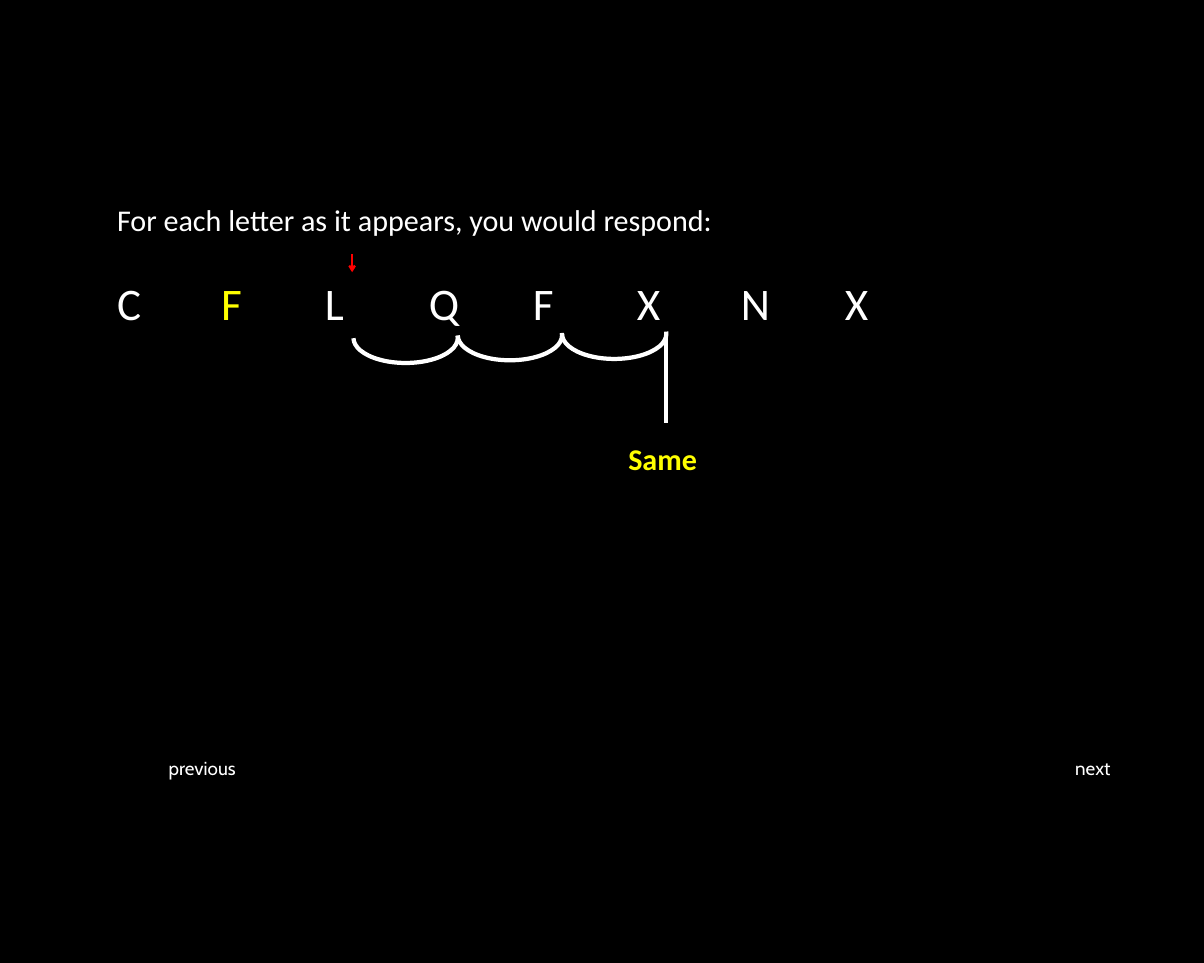
"""Build the slide that shows how to respond to each letter in a sequence."""
import lxml.etree
import pptx
import pptx.dml.color
import pptx.enum.shapes
import pptx.oxml.ns
import pptx.util

Inches = pptx.util.Inches
BLACK = pptx.dml.color.RGBColor(0x00, 0x00, 0x00)
WHITE = pptx.dml.color.RGBColor(0xFF, 0xFF, 0xFF)
YELLOW = pptx.dml.color.RGBColor(0xFF, 0xFF, 0x00)
RED = pptx.dml.color.RGBColor(0xFF, 0x00, 0x00)

LETTERS = "CFLQFXNX"
CURRENT = 1
LETTER_GAP = 10.75 / 7
ARC_WIDTH = 1.54

deck = pptx.Presentation()
deck.slide_width = Inches(17.78)
deck.slide_height = Inches(14.22)
slide = deck.slides.add_slide(deck.slide_layouts[6])
slide.background.fill.solid()
slide.background.fill.fore_color.rgb = BLACK


def add_text(left, top, width, height, pieces, font_values, tabs=()):
    """Add a text box whose pieces are (text, colour) pairs."""
    frame = slide.shapes.add_textbox(*map(Inches, (left, top, width, height))).text_frame
    frame.word_wrap = True
    paragraph = frame.paragraphs[0]
    if tabs:
        tab_list = lxml.etree.SubElement(
            paragraph._p.get_or_add_pPr(), pptx.oxml.ns.qn("a:tabLst"))
        for position in tabs:
            lxml.etree.SubElement(tab_list, pptx.oxml.ns.qn("a:tab"),
                                  pos=str(Inches(position)), algn="l")
    for text, colour in pieces:
        run = paragraph.add_run()
        run.text = text
        run.font.color.rgb = colour
        for name, value in font_values.items():
            setattr(run.font, name, value)


def add_line(x, top, bottom, colour, weight):
    """Add a vertical line and return its line properties element."""
    line = slide.shapes.add_connector(
        pptx.enum.shapes.MSO_CONNECTOR.STRAIGHT,
        Inches(x), Inches(top), Inches(x), Inches(bottom))
    line.line.color.rgb = colour
    line.line.width = pptx.util.Pt(weight)
    properties = line._element.spPr
    lxml.etree.SubElement(properties, pptx.oxml.ns.qn("a:effectLst"))
    return properties.find(pptx.oxml.ns.qn("a:ln"))


body = {"name": "Calibri", "size": pptx.util.Pt(32)}
letter = {"name": "Calibri", "size": pptx.util.Pt(48)}
answer = {"name": "Calibri", "size": pptx.util.Pt(32), "bold": True}
navigation = {"name": "Cabin", "size": pptx.util.Pt(20)}

add_text(1.63, 2.93, 14.87, 0.64,
         [("For each letter as it appears, you would respond:", WHITE)], body)
add_text(1.63, 4.02, 14.87, 0.91,
         [("\t" * (index > 0) + character, YELLOW if index == CURRENT else WHITE)
          for index, character in enumerate(LETTERS)],
         letter, [LETTER_GAP * index for index in range(1, len(LETTERS))])
add_text(9.18, 6.46, 2, 0.64, [("Same", YELLOW)], answer)
add_text(2.39, 11.12, 3.05, 0.44, [("previous", WHITE)], navigation)
add_text(15.78, 11.12, 2, 0.44, [("next", WHITE)], navigation)

pointer = add_line(5.2, 3.75, 4.02, RED, 2.25)
lxml.etree.SubElement(pointer, pptx.oxml.ns.qn("a:tailEnd"), type="arrow")
add_line(9.83, 4.92, 6.24, WHITE, 4.5)

for step, arc_top in enumerate((4.62, 4.58, 4.56)):
    arc = slide.shapes.add_shape(
        pptx.enum.shapes.MSO_SHAPE.ARC, Inches(5.22 + step * ARC_WIDTH),
        Inches(arc_top), Inches(ARC_WIDTH), Inches(0.74))
    arc.adjustments[0] = 106.5
    arc.adjustments[1] = 215.81
    arc.rotation = 180
    arc.shadow.inherit = False
    arc.fill.background()
    arc.line.color.rgb = WHITE
    arc.line.width = pptx.util.Pt(4.5)

deck.save("out.pptx")
